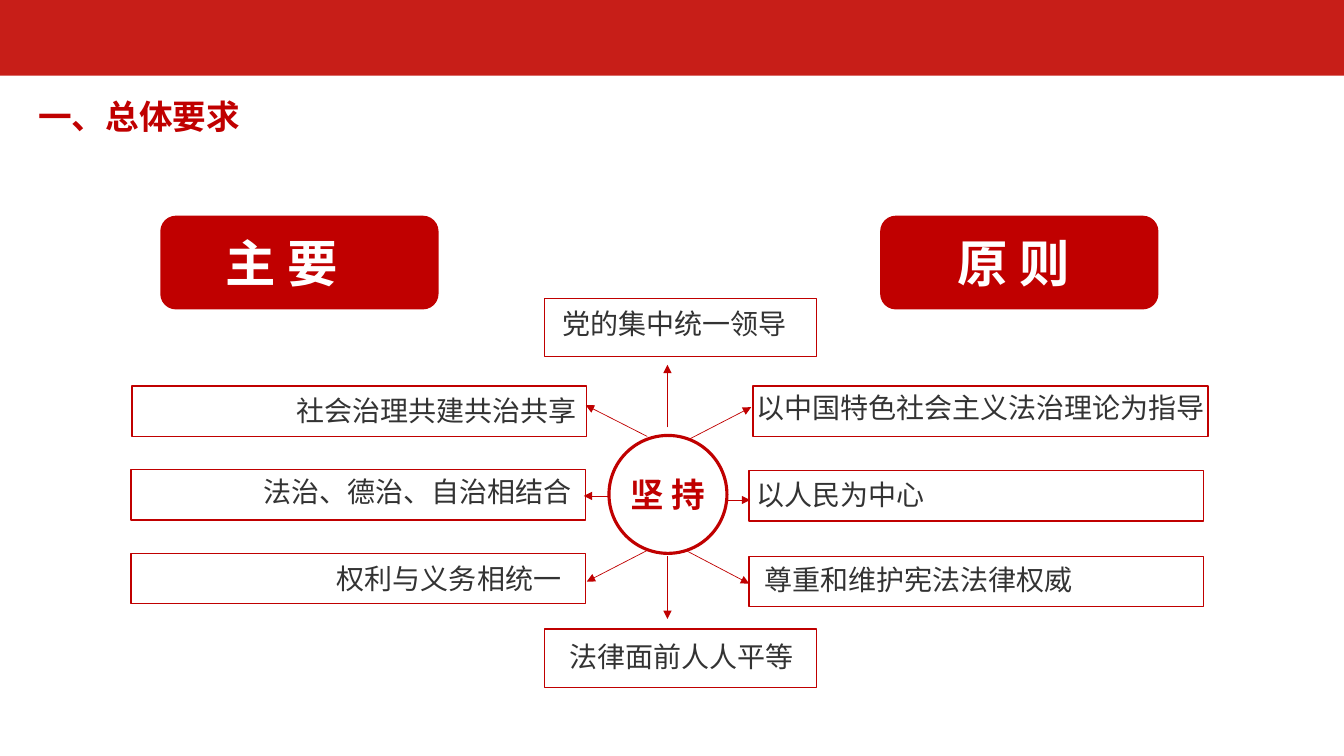
from dataclasses import dataclass

from lxml import etree
from pptx import Presentation
from pptx.dml.color import RGBColor
from pptx.enum.shapes import MSO_CONNECTOR, MSO_SHAPE
from pptx.enum.text import MSO_ANCHOR as Anchor, MSO_AUTO_SIZE, PP_ALIGN as Align
from pptx.oxml.ns import qn
from pptx.util import Inches, Pt

FONT = "Noto Sans CJK SC"
RED, BAR_RED, GREY, WHITE = "C00000", "C71E18", "333333", "FFFFFF"


@dataclass(frozen=True)
class Principle:
    text: str
    left: float
    top: float
    width: float
    height: float
    inset_left: float
    inset_top: float
    align: Align = Align.LEFT


@dataclass(frozen=True)
class Banner:
    text: str
    left: float
    inset_left: float


@dataclass(frozen=True)
class Arrow:
    start: tuple[float, float]
    end: tuple[float, float]


SIDE, CENTRE = (4.51, 0.5), (2.7, 0.58)
PRINCIPLES = [
    Principle("党的集中统一领导", 5.4, 2.96, *CENTRE, 0.18, 0.12),
    Principle("法律面前人人平等", 5.4, 6.24, *CENTRE, 0.25, 0.14),
    Principle("以中国特色社会主义法治理论为指导", 7.47, 3.83, *SIDE, 0.03, 0.08),
    Principle("以人民为中心", 7.43, 4.67, *SIDE, 0.07, 0.11),
    Principle("尊重和维护宪法法律权威", 7.43, 5.52, *SIDE, 0.15, 0.1),
    Principle("社会治理共建共治共享", 1.31, 3.83, *SIDE, 0, 0.11, Align.RIGHT),
    Principle("法治、德治、自治相结合", 1.3, 4.66, *SIDE, 1.31, 0.09),
    Principle("权利与义务相统一", 1.3, 5.49, *SIDE, 2.04, 0.12),
]
BANNERS = [Banner("主 要", 1.59, 0.6), Banner("原 则", 8.73, 0.72)]
ARROWS = [
    Arrow((6.62, 4.24), (6.62, 3.62)),
    Arrow((6.62, 5.52), (6.62, 6.14)),
    Arrow((6.83, 4.36), (7.45, 4.04)),
    Arrow((6.82, 5.47), (7.43, 5.79)),
    Arrow((7.19, 4.96), (7.44, 4.96)),
    Arrow((6.42, 4.33), (5.81, 4.02)),
    Arrow((6.44, 5.45), (5.82, 5.77)),
    Arrow((6.04, 4.92), (5.79, 4.92)),
]


def color(value: str) -> RGBColor:
    return RGBColor.from_string(value)


def add_box(slide, kind, left: float, top: float, width: float, height: float,
            fill: str | None = None, line: str | None = None, line_width: float = 1):
    shape = slide.shapes.add_shape(
        kind, Inches(left), Inches(top), Inches(width), Inches(height))
    shape.shadow.inherit = False
    if fill:
        shape.fill.solid()
        shape.fill.fore_color.rgb = color(fill)
    else:
        shape.fill.background()
    if line:
        shape.line.color.rgb = color(line)
        shape.line.width = Pt(line_width)
    else:
        shape.line.fill.background()
    return shape


def write_text(shape, text: str, size: float, ink: str, bold: bool = False,
               align: Align = Align.LEFT, anchor: Anchor = Anchor.MIDDLE,
               insets: tuple[float, float, float, float] = (0.1, 0.05, 0.1, 0.05),
               line_spacing: float = 1.0, wrap: bool = True) -> None:
    frame = shape.text_frame
    frame.text = text
    frame.word_wrap = wrap
    frame.auto_size = MSO_AUTO_SIZE.NONE
    frame.vertical_anchor = anchor
    (frame.margin_left, frame.margin_top,
     frame.margin_right, frame.margin_bottom) = map(Inches, insets)
    paragraph = frame.paragraphs[0]
    paragraph.alignment = align
    paragraph.line_spacing = line_spacing
    paragraph.space_before = Pt(0)
    for run in paragraph.runs:
        run.font.size = Pt(size)
        run.font.bold = bold
        run.font.color.rgb = color(ink)
        run.font.name = FONT
        # Chinese glyphs use the East Asian typeface
        east_asian = etree.SubElement(run.font._element, qn("a:ea"))
        east_asian.set("typeface", FONT)


def add_principle(slide, item: Principle) -> None:
    shape = add_box(slide, MSO_SHAPE.RECTANGLE, item.left, item.top,
                    item.width, item.height, line=RED)
    inset_right = 0.1 if item.align == Align.RIGHT else 0
    write_text(shape, item.text, 20, GREY, align=item.align, anchor=Anchor.TOP,
               insets=(item.inset_left, item.inset_top, inset_right, 0),
               line_spacing=0.9)


def add_banner(slide, item: Banner) -> None:
    shape = add_box(slide, MSO_SHAPE.ROUNDED_RECTANGLE, item.left, 2.14,
                    2.76, 0.93, fill=RED)
    write_text(shape, item.text, 36, WHITE, bold=True,
               insets=(item.inset_left, 0, 0, 0))


def add_arrow(slide, item: Arrow) -> None:
    connector = slide.shapes.add_connector(
        MSO_CONNECTOR.STRAIGHT, *map(Inches, item.start + item.end))
    connector.line.color.rgb = color(RED)
    connector.line.width = Pt(0.5)
    etree.SubElement(connector.line._get_or_add_ln(), qn("a:tailEnd"), type="triangle")
    etree.SubElement(connector._element.spPr, qn("a:effectLst"))


def main() -> None:
    presentation = Presentation()
    presentation.slide_width = Inches(13.33)
    presentation.slide_height = Inches(7.5)
    slide = presentation.slides.add_slide(presentation.slide_layouts.get_by_name("Title Only"))

    # Header bar and title
    add_box(slide, MSO_SHAPE.RECTANGLE, 0, 0, 13.33, 0.75, fill=BAR_RED)
    title = slide.shapes.title
    title.left, title.top, title.width, title.height = map(Inches, (0.28, 0.83, 2.22, 0.56))
    write_text(title, "一、总体要求", 24, RED, bold=True, line_spacing=1.2, wrap=False)

    # Principles around the hub
    for principle in PRINCIPLES:
        add_principle(slide, principle)

    # Hub and its arrows
    hub = add_box(slide, MSO_SHAPE.OVAL, 6.04, 4.32, 1.17, 1.17, line=RED, line_width=2.25)
    write_text(hub, "坚 持", 24, RED, bold=True, align=Align.CENTER,
               insets=(0, 0, 0, 0), wrap=False)
    for arrow in ARROWS:
        add_arrow(slide, arrow)

    # Banners
    for banner in BANNERS:
        add_banner(slide, banner)

    presentation.save("out.pptx")


if __name__ == "__main__":
    main()
